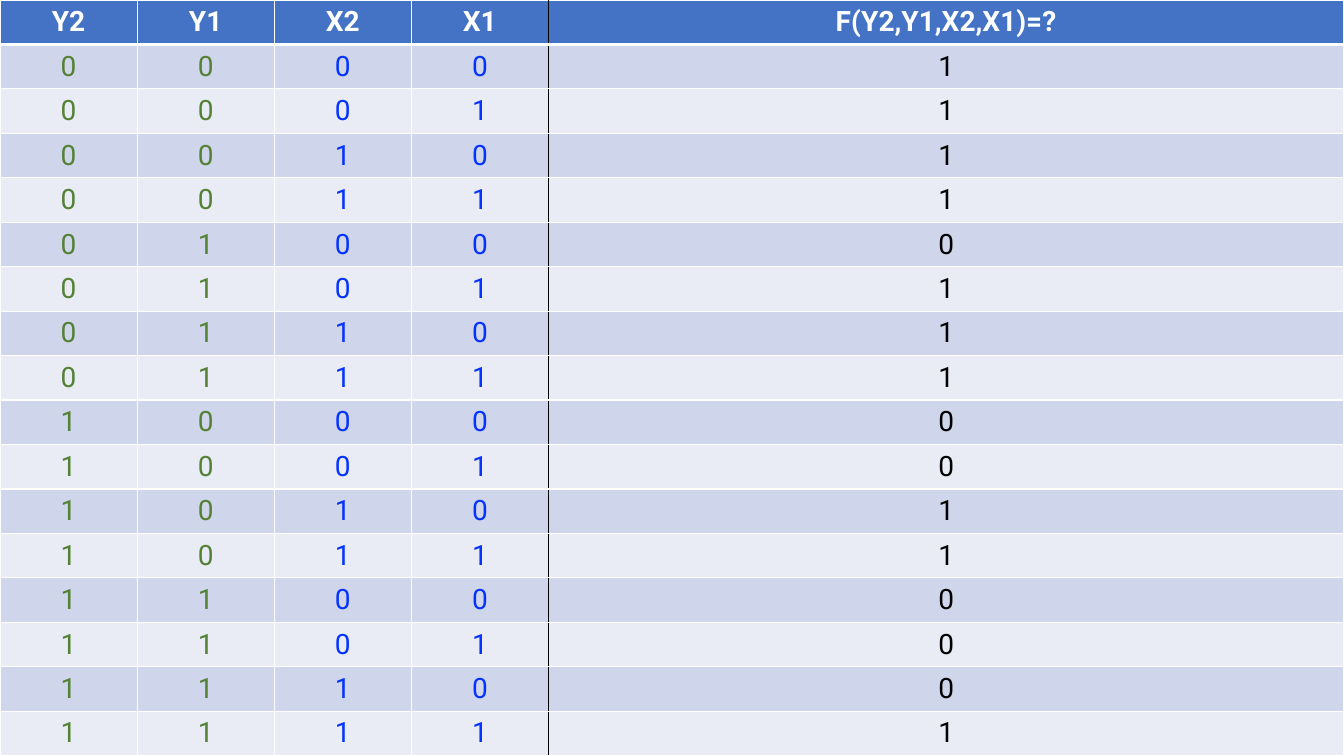
from dataclasses import dataclass
from itertools import product

from lxml import etree
from pptx import Presentation
from pptx import util as u
from pptx.dml.color import RGBColor
from pptx.enum import text
from pptx.oxml.ns import qn

SLIDE_WIDTH, SLIDE_HEIGHT = 13.33, 7.5
WHITE, BLACK = "FFFFFF", "000000"
HEADER_FILL = "4472C4"
BAND_FILLS = ("CFD5EA", "E9EBF5")


@dataclass(frozen=True)
class Column:
    heading: str
    width: float
    digit_color: str


@dataclass(frozen=True)
class Border:
    side: str
    color: str = WHITE
    points: float = 1


COLUMNS = (
    Column("Y2", 1.36, "548235"),
    Column("Y1", 1.36, "548235"),
    Column("X2", 1.36, "0432FF"),
    Column("X1", 1.36, "0432FF"),
    Column("F(Y2,Y1,X2,X1)=?", 7.89, BLACK),
)
RESULT = len(COLUMNS) - 1
RESULT_DIGITS = "1111011100110001"


def truth_rows() -> list[tuple[str, ...]]:
    inputs = product("01", repeat=RESULT)
    return [(*digits, result) for digits, result in zip(inputs, RESULT_DIGITS)]


def rgb(color: str) -> RGBColor:
    return RGBColor.from_string(color)


def cell_borders(row: int, column: int) -> list[Border]:
    """Sides in schema order: black before the result, thick under the header."""
    return [
        Border("L", BLACK if column == RESULT else WHITE),
        Border("R", BLACK if column == RESULT - 1 else WHITE),
        Border("T", points=3 if row == 1 else 1),
        Border("B", points=3 if row == 0 else 1),
    ]


def add_border(cell, border: Border) -> None:
    properties = cell._tc.get_or_add_tcPr()
    line = etree.SubElement(properties, qn(f"a:ln{border.side}"),
                            w=str(u.Pt(border.points)))
    fill = etree.SubElement(line, qn("a:solidFill"))
    etree.SubElement(fill, qn("a:srgbClr"), val=border.color)


def format_cell(cell, content: str, fill: str, color: str, bold: bool) -> None:
    cell.fill.solid()
    cell.fill.fore_color.rgb = rgb(fill)
    cell.vertical_anchor = text.MSO_ANCHOR.MIDDLE
    cell.text_frame.text = content
    paragraph = cell.text_frame.paragraphs[0]
    paragraph.alignment = text.PP_ALIGN.CENTER
    font = paragraph.runs[0].font
    font.name, font.size, font.bold = "Roboto", u.Pt(20), bold
    font.color.rgb = rgb(color)


def add_truth_table(slide) -> None:
    rows = [tuple(column.heading for column in COLUMNS), *truth_rows()]
    table = slide.shapes.add_table(
        len(rows), len(COLUMNS), u.Inches(0), u.Inches(0),
        u.Inches(SLIDE_WIDTH), u.Inches(SLIDE_HEIGHT)).table

    # Column widths and equal row heights
    for index, column in enumerate(COLUMNS):
        table.columns[index].width = u.Inches(column.width)
    for table_row in table.rows:
        table_row.height = u.Inches(SLIDE_HEIGHT / len(rows))

    # Header and banded digit rows
    for row, values in enumerate(rows):
        is_header = row == 0
        fill = HEADER_FILL if is_header else BAND_FILLS[(row - 1) % 2]
        for index, value in enumerate(values):
            cell = table.cell(row, index)
            for border in cell_borders(row, index):
                add_border(cell, border)
            color = WHITE if is_header else COLUMNS[index].digit_color
            format_cell(cell, value, fill, color, is_header)


def main() -> None:
    presentation = Presentation()
    presentation.slide_width = u.Inches(SLIDE_WIDTH)
    presentation.slide_height = u.Inches(SLIDE_HEIGHT)
    slide = presentation.slides.add_slide(presentation.slide_layouts[6])
    add_truth_table(slide)
    presentation.save("out.pptx")


if __name__ == "__main__":
    main()
